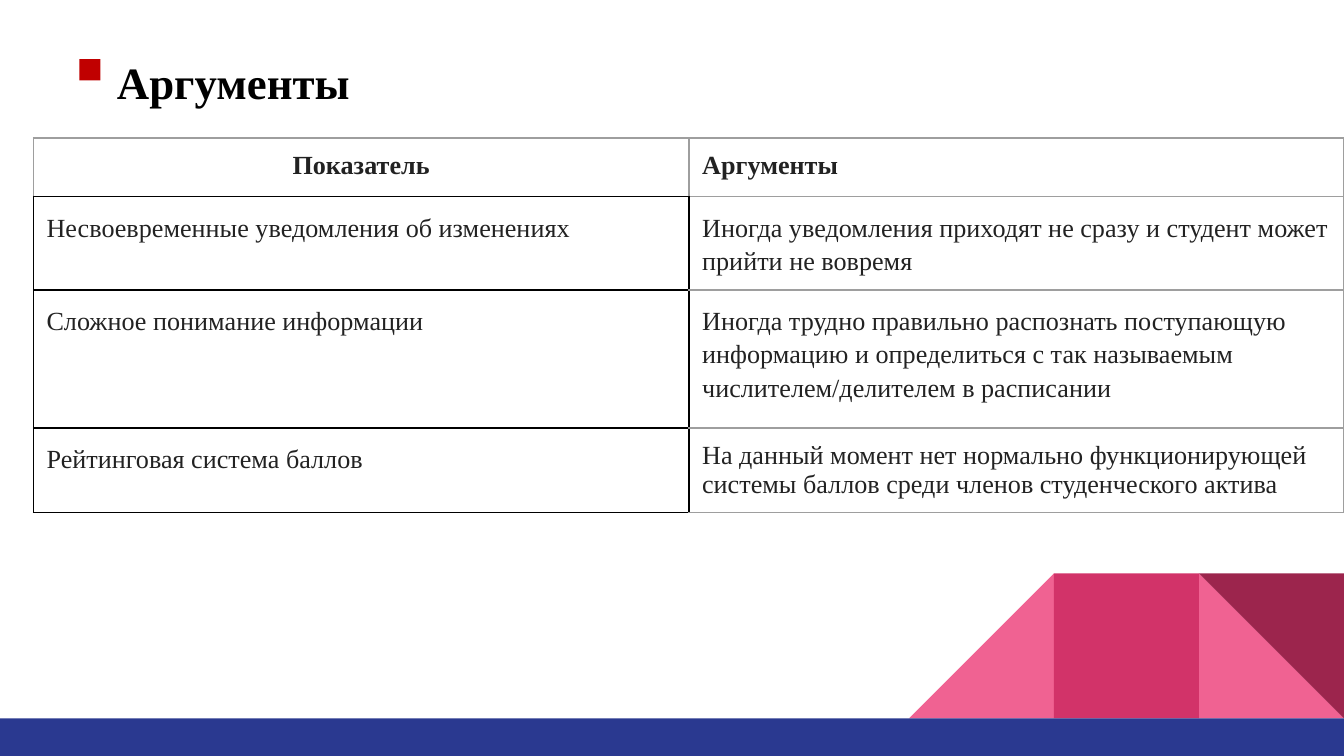
import pptx
import pptx.util
import pptx.dml.color
import pptx.enum.shapes
import pptx.enum.text
import pptx.oxml
import pptx.oxml.ns

Cm = pptx.util.Cm
Pt = pptx.util.Pt
SHAPE = pptx.enum.shapes.MSO_SHAPE
ALIGN = pptx.enum.text.PP_ALIGN
ANCHOR = pptx.enum.text.MSO_ANCHOR

TITLE = "Аргументы"
ROWS = [
    ("Показатель", "Аргументы"),
    ("Несвоевременные уведомления об изменениях",
     "Иногда уведомления приходят не сразу и студент может прийти не вовремя"),
    ("Сложное понимание информации",
     "Иногда трудно правильно распознать поступающую информацию и определиться "
     "с так называемым числителем/делителем в расписании"),
    ("Рейтинговая система баллов",
     "На данный момент нет нормально функционирующей системы баллов "
     "среди членов студенческого актива"),
]
ROW_HEIGHTS = [1.1, 1.77, 2.61, 1.6]
COLUMN_WIDTHS = [12.39, 12.37]
COLORS = {
    "title": "000000", "text": "222222", "marker": "C00000",
    "black": "000000", "gray": "9E9E9E",
    "pink": "F06292", "rose": "D23369", "wine": "9C254D", "navy": "2A3990",
}
FONT = "Times New Roman"
WIDTH, HEIGHT = 25.4, 14.29
TILE, BAND_TOP = 2.74, 13.58
TILES = [
    (1, SHAPE.RIGHT_TRIANGLE, 0, "pink"),
    (3, SHAPE.RIGHT_TRIANGLE, 270, "pink"),
    (2, SHAPE.RECTANGLE, 0, "rose"),
    (1, SHAPE.RIGHT_TRIANGLE, 180, "wine"),
]


def rgb(name):
    return pptx.dml.color.RGBColor.from_string(COLORS[name])


def add_block(slide, kind, box, color, rotation=0):
    block = slide.shapes.add_shape(kind, *map(Cm, box))
    block.shadow.inherit = False
    block.fill.solid()
    block.fill.fore_color.rgb = rgb(color)
    block.line.fill.background()
    block.rotation = rotation


def add_run(paragraph, text, size, color, bold):
    run = paragraph.add_run()
    run.text = text
    run.font.name = FONT
    run.font.size = Pt(size)
    run.font.bold = bold
    run.font.color.rgb = rgb(color)


def set_borders(cell, left, right, top, bottom):
    properties = cell._tc.get_or_add_tcPr()
    sides = zip("LRTB", (left, right, top, bottom))
    for index, (side, color) in enumerate(sides):
        properties.insert(index, pptx.oxml.parse_xml(
            f'<a:ln{side} {pptx.oxml.ns.nsdecls("a")} w="{Pt(0.75)}">'
            f'<a:solidFill><a:srgbClr val="{COLORS[color]}"/></a:solidFill>'
            f'</a:ln{side}>'))


def add_title(slide):
    title = slide.shapes.title
    title.left, title.top, title.width, title.height = map(Cm, (2.08, 0.71, 17.42, 1.47))
    frame = title.text_frame
    frame.auto_size = pptx.enum.text.MSO_AUTO_SIZE.NONE
    frame.word_wrap = True
    frame.vertical_anchor = ANCHOR.BOTTOM
    frame.margin_left = frame.margin_right = Cm(0.13)
    frame.margin_top = frame.margin_bottom = Cm(0.13)
    paragraph = frame.paragraphs[0]
    paragraph.alignment = ALIGN.LEFT
    add_run(paragraph, TITLE, 24, "title", True)


def add_arguments(slide):
    box = (0.63, 2.61, sum(COLUMN_WIDTHS), sum(ROW_HEIGHTS))
    arguments = slide.shapes.add_table(
        len(ROWS), len(COLUMN_WIDTHS), *map(Cm, box)).table
    arguments.first_row = arguments.horz_banding = False
    for column, width in zip(arguments.columns, COLUMN_WIDTHS):
        column.width = Cm(width)
    last = len(ROWS) - 1
    for r, texts in enumerate(ROWS):
        arguments.rows[r].height = Cm(ROW_HEIGHTS[r])
        for c, text in enumerate(texts):
            cell = arguments.cell(r, c)
            cell.fill.background()
            cell.margin_left = cell.margin_right = Cm(0.25)
            cell.margin_top = cell.margin_bottom = Cm(0.25)
            cell.vertical_anchor = ANCHOR.TOP
            paragraph = cell.text_frame.paragraphs[0]
            paragraph.alignment = ALIGN.CENTER if r == c == 0 else ALIGN.LEFT
            if r > 0 and (r, c) != (last, 1):
                paragraph.line_spacing = 1.15
            add_run(paragraph, text, 14, "text", r == 0)
            inner = "black" if r else "gray"
            outer = "gray" if c else inner
            set_borders(cell, inner, outer, outer, "gray" if c else "black")


def main():
    """Build the slide with the table of arguments."""
    deck = pptx.Presentation()
    deck.slide_width, deck.slide_height = Cm(WIDTH), Cm(HEIGHT)
    slide = deck.slides.add_slide(deck.slide_layouts[5])
    for steps, kind, rotation, color in TILES:
        box = (WIDTH - steps * TILE, BAND_TOP - TILE, TILE, TILE)
        add_block(slide, kind, box, color, rotation)
    add_block(slide, SHAPE.RECTANGLE, (0, BAND_TOP, WIDTH, HEIGHT - BAND_TOP), "navy")
    add_block(slide, SHAPE.RECTANGLE, (1.5, 1.12, 0.4, 0.4), "marker")
    add_title(slide)
    add_arguments(slide)
    deck.save("out.pptx")


if __name__ == "__main__":
    main()
